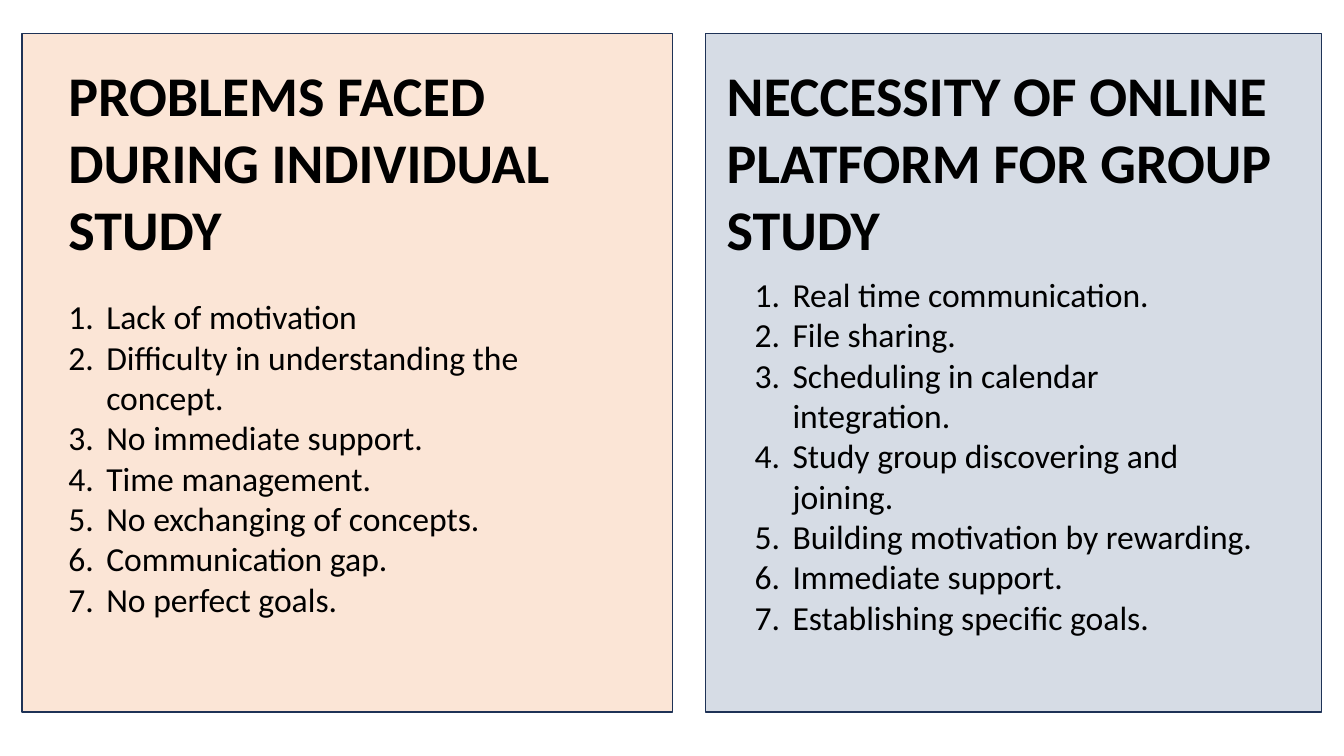
from lxml import etree
from pptx import Presentation
from pptx.dml.color import RGBColor
from pptx.enum.shapes import MSO_SHAPE
from pptx.enum.text import MSO_AUTO_SIZE
from pptx.oxml.ns import qn
from pptx.util import Pt

RECT = MSO_SHAPE.RECTANGLE
GROW = MSO_AUTO_SIZE.SHAPE_TO_FIT_TEXT
PEACH = RGBColor(0xFB, 0xE5, 0xD6)
GREY = RGBColor(0xD6, 0xDC, 0xE5)
NAVY = RGBColor(0x1E, 0x32, 0x56)
BLACK = RGBColor(0, 0, 0)

HEAD = {"name": "Calibri", "size": Pt(40), "bold": True}
BODY = {"name": "Calibri", "size": Pt(24), "bold": False}
INDENT = Pt(27)
PANEL_TOP, PANEL_HEIGHT = 24, 484.5
HEAD_TOP, HEAD_HEIGHT = 39.6, 152.6

# Boxes: panel and heading are (left, width), list is (left, top, width, height)
PANELS = [
    {
        "fill": PEACH, "panel": (15.8, 464.4), "head": (41.8, 443.5),
        "list": (41.8, 208, 395.3, 262),
        "title": "PROBLEMS FACED DURING INDIVIDUAL STUDY",
        "items": [
            "Lack of motivation",
            "Difficulty in understanding the concept.",
            "No immediate support.",
            "Time management.",
            "No exchanging of concepts.",
            "Communication gap.",
            "No perfect goals.",
        ],
    },
    {
        "fill": GREY, "panel": (504, 440), "head": (512, 412.6),
        "list": (532, 192.2, 373, 269.3),
        "title": "NECCESSITY OF ONLINE PLATFORM FOR GROUP STUDY",
        "items": [
            "Real time communication.",
            "File sharing.",
            "Scheduling in calendar integration.",
            "Study group discovering and joining.",
            "Building motivation by rewarding.",
            "Immediate support.",
            "Establishing specific goals.",
        ],
    },
]


def add_text(box, lines, style):
    """Add a text box with one paragraph per line and return its paragraphs."""
    frame = slide.shapes.add_textbox(*map(Pt, box)).text_frame
    frame.word_wrap = True
    frame.auto_size = GROW
    frame.text = "\n".join(lines)
    for para in frame.paragraphs:
        font = para.runs[0].font
        font.color.rgb = BLACK
        for key, value in style.items():
            setattr(font, key, value)
    return frame.paragraphs


def number(para):
    """Give a paragraph an automatic number and a hanging indent."""
    props = para._p.get_or_add_pPr()
    props.set("marL", str(INDENT))
    props.set("indent", str(-INDENT))
    etree.SubElement(props, qn("a:buFont"), typeface="+mj-lt")
    etree.SubElement(props, qn("a:buAutoNum"), type="arabicPeriod")


prs = Presentation()
prs.slide_width, prs.slide_height = Pt(960), Pt(540)
slide = prs.slides.add_slide(prs.slide_layouts[6])

for part in PANELS:
    left, width = part["panel"]
    panel = slide.shapes.add_shape(
        RECT, Pt(left), Pt(PANEL_TOP), Pt(width), Pt(PANEL_HEIGHT))
    panel.shadow.inherit = False
    panel.fill.solid()
    panel.fill.fore_color.rgb = part["fill"]
    panel.line.color.rgb = NAVY
    panel.line.width = Pt(1)

    left, width = part["head"]
    add_text((left, HEAD_TOP, width, HEAD_HEIGHT), [part["title"]], HEAD)
    for para in add_text(part["list"], part["items"], BODY):
        number(para)

prs.save("out.pptx")
